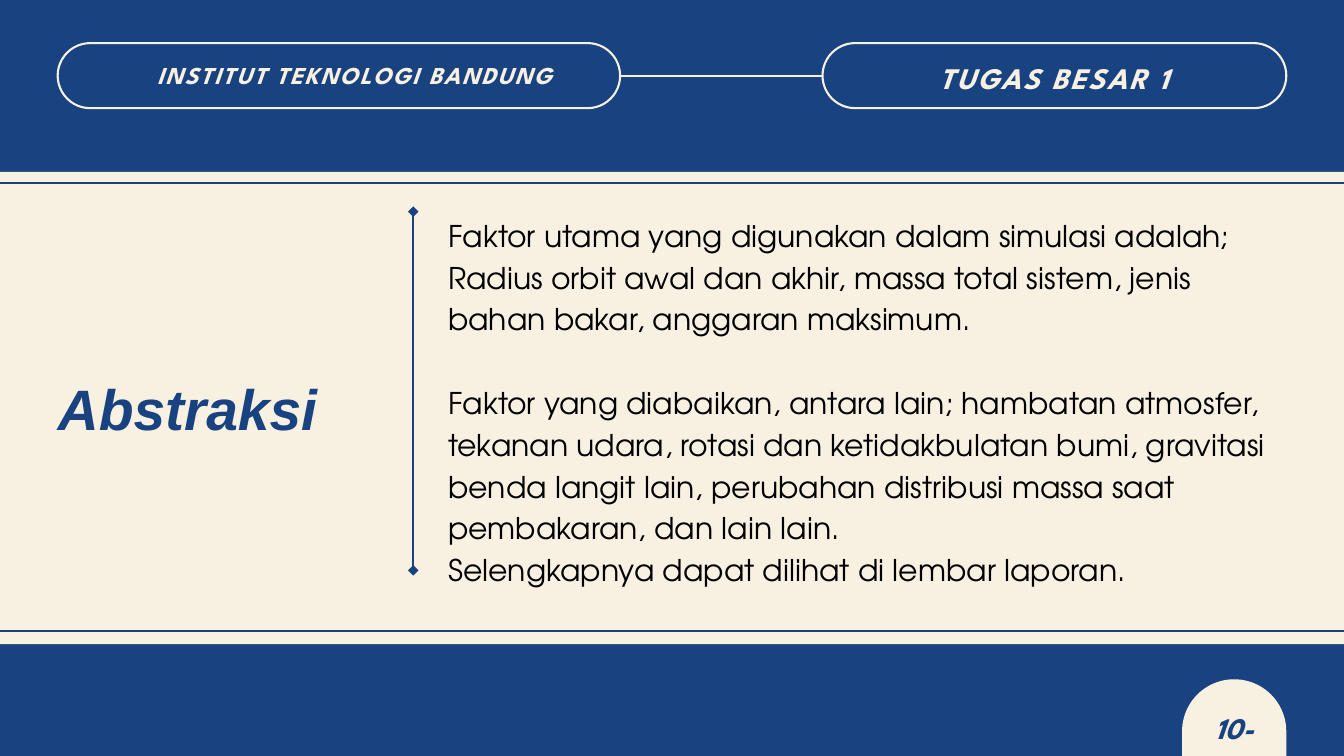
import math
from dataclasses import dataclass

from lxml import etree
from pptx import Presentation
from pptx.dml.color import RGBColor
from pptx.enum.shapes import MSO_CONNECTOR, MSO_SHAPE
from pptx.enum.text import MSO_ANCHOR, PP_ALIGN
from pptx.oxml.ns import qn
from pptx.util import Cm, Pt

RECT, PILL = MSO_SHAPE.RECTANGLE, MSO_SHAPE.ROUNDED_RECTANGLE
STRAIGHT = MSO_CONNECTOR.STRAIGHT
TOP = MSO_ANCHOR.TOP
LEFT, CENTER = PP_ALIGN.LEFT, PP_ALIGN.CENTER
RIGHT_SIDE, LEFT_SIDE = 3, 1

SLIDE_W, SLIDE_H = 50.8, 28.58
MARGIN = 2.18


@dataclass(frozen=True)
class Theme:
    blue: RGBColor = RGBColor(0x19, 0x42, 0x81)
    cream: RGBColor = RGBColor(0xF8, 0xF0, 0xE1)
    black: RGBColor = RGBColor(0, 0, 0)
    title_font: str = "Arial"
    label_font: str = "League Spartan"
    body_font: str = "TeX Gyre Adventor"
    title_size: float = 61
    label_size: float = 32
    small_label_size: float = 26
    body_size: float = 32
    line_width: float = 2.25


class SlideBuilder:
    def __init__(self, slide, theme):
        self.s = slide
        self.theme = theme

    def background(self, color):
        fill = self.s.background.fill
        fill.solid()
        fill.fore_color.rgb = color

    def paint(self, sp, fill=None, line=None):
        sp.shadow.inherit = False
        if fill is None:
            sp.fill.background()
        else:
            sp.fill.solid()
            sp.fill.fore_color.rgb = fill
        if line is None:
            sp.line.fill.background()
        else:
            sp.line.color.rgb = line
            sp.line.width = Pt(self.theme.line_width)

    def shape(self, kind, box, fill=None, line=None):
        sp = self.s.shapes.add_shape(kind, *map(Cm, box))
        if kind == PILL:
            sp.adjustments[0] = 0.5
        self.paint(sp, fill, line)
        return sp

    def arched_tab(self, left, top, width, bottom, fill, steps=48):
        """Draw a tab whose top is a full half circle."""
        radius = width / 2
        angles = [math.pi * i / steps for i in range(steps + 1)]
        arc = [(Cm(left + radius - radius * math.cos(a)),
                Cm(top + radius - radius * math.sin(a))) for a in angles]
        builder = self.s.shapes.build_freeform(Cm(left), Cm(bottom))
        builder.add_line_segments(arc + [(Cm(left + width), Cm(bottom))])
        self.paint(builder.convert_to_shape(), fill)

    def line(self, x1, y1, x2, y2, color, ends=None):
        cx = self.s.shapes.add_connector(STRAIGHT, *map(Cm, (x1, y1, x2, y2)))
        cx.line.color.rgb = color
        cx.line.width = Pt(self.theme.line_width)
        if ends:
            ln = cx.line._get_or_add_ln()
            for tag in ("a:headEnd", "a:tailEnd"):
                etree.SubElement(ln, qn(tag), type=ends, w="lg", len="lg")
        etree.SubElement(cx._element.spPr, qn("a:effectLst"))
        return cx

    def link(self, sp_from, sp_to, color):
        cx = self.line(0, 0, 1, 1, color)
        cx.begin_connect(sp_from, RIGHT_SIDE)
        cx.end_connect(sp_to, LEFT_SIDE)

    def fill_text(self, sp, paragraphs, font, size, color, leading,
                  align=LEFT, bold=False, tracking=0):
        """Fill a shape with (text, space before in points) paragraphs."""
        tf = sp.text_frame
        tf.word_wrap = True
        tf.vertical_anchor = TOP
        tf.margin_left = tf.margin_right = tf.margin_top = tf.margin_bottom = 0
        for i, (text, before) in enumerate(paragraphs):
            p = tf.add_paragraph() if i else tf.paragraphs[0]
            p.alignment = align
            p.line_spacing = Pt(leading)
            p.space_before = Pt(before)
            r = p.add_run()
            r.text = text
            r.font.name = font
            r.font.size = Pt(size)
            r.font.color.rgb = color
            r.font.bold = r.font.italic = bold
            if tracking:
                r._r.get_or_add_rPr().set("spc", str(round(tracking * 100)))

    def text(self, box, paragraphs, *style, **options):
        sp = self.s.shapes.add_textbox(*map(Cm, box))
        self.fill_text(sp, paragraphs, *style, **options)

    def label(self, box, text, size, color, leading, **options):
        self.text(box, [(text, 0)], self.theme.label_font, size, color,
                  leading, bold=True, **options)

    def title(self, box, text, leading):
        sp = self.s.shapes.title
        sp.left, sp.top, sp.width, sp.height = map(Cm, box)
        t = self.theme
        self.fill_text(sp, [(text, 0)], t.title_font, t.title_size, t.blue,
                       leading, bold=True)
        # The placeholder comes first in the tree; lift it above the band.
        self.s.shapes._spTree.append(sp._element)


def main():
    prs = Presentation()
    prs.slide_width, prs.slide_height = Cm(SLIDE_W), Cm(SLIDE_H)
    t = Theme()
    b = SlideBuilder(prs.slides.add_slide(prs.slide_layouts[5]), t)
    b.background(t.blue)

    b.shape(RECT, (0, 6.5, SLIDE_W, 17.85), fill=t.cream)
    b.shape(RECT, (-2.5, 6.93, SLIDE_W + 5, 16.94), line=t.blue)

    leading = 44.8
    b.text((16.94, 8, 31.12, 13.97), [
        ("Faktor utama yang digunakan dalam simulasi adalah; Radius orbit "
         "awal dan akhir, massa total sistem, jenis bahan bakar, anggaran "
         "maksimum.", 0),
        ("Faktor yang diabaikan, antara lain; hambatan atmosfer, tekanan "
         "udara, rotasi dan ketidakbulatan bumi, gravitasi benda langit "
         "lain, perubahan distribusi massa saat pembakaran, dan lain lain.",
         leading),
        ("Selengkapnya dapat dilihat di lembar laporan.", 0),
    ], t.body_font, t.body_size, t.black, leading)

    b.title((MARGIN, 13.92, 12.5, 2.77), "Abstraksi", 79.3)
    b.line(15.62, 8, 15.62, 21.56, t.blue, ends="diamond")

    tab_w = 3.94
    b.arched_tab(SLIDE_W - MARGIN - tab_w, 25.68, tab_w, 29.03, t.cream)
    b.label((45.26, 26.62, 2.79, 1.55), "10-", t.label_size, t.blue, leading,
            align=CENTER)

    pill_y, pill_h, course_w = 1.63, 2.46, 17.53
    school = b.shape(PILL, (MARGIN, pill_y, 21.26, pill_h), line=t.cream)
    course = b.shape(PILL, (SLIDE_W - MARGIN - course_w, pill_y, course_w,
                            pill_h), line=t.cream)
    b.link(school, course, t.cream)
    b.label((5.94, 2.06, 16.97, 1.3), "INSTITUT TEKNOLOGI BANDUNG",
            t.small_label_size, t.cream, 37.8, tracking=1.9)
    b.label((32.36, 2.03, 14.96, 1.5), "TUGAS BESAR 1", t.label_size, t.cream,
            leading, align=CENTER, tracking=2.2)

    prs.save("out.pptx")


if __name__ == "__main__":
    main()
